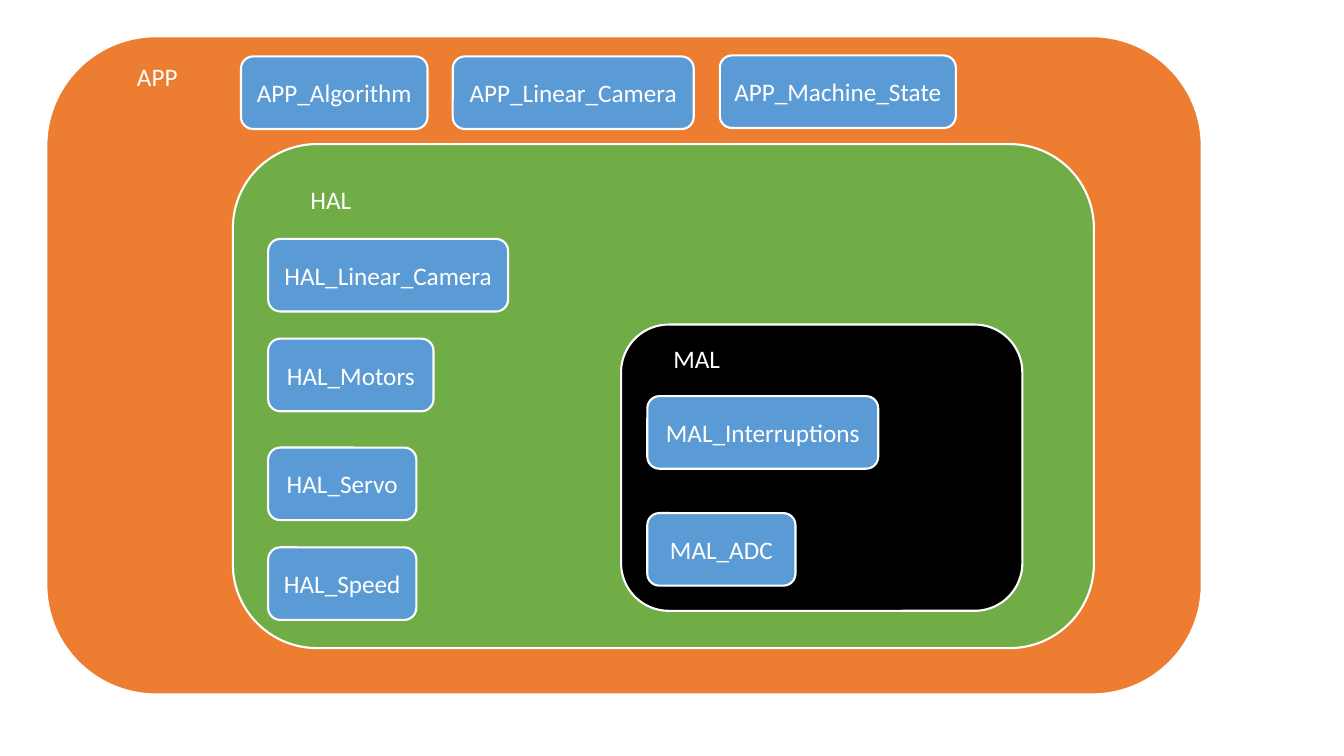
import pptx
import pptx.dml.color
import pptx.enum.shapes
import pptx.enum.text
import pptx.util
from pptx.util import Inches

WHITE = "FFFFFF"
MODULE_BLUE = "5B9BD5"
MODULE_HEIGHT = 0.72

LAYERS = [
    (0.46, 0.36, 11.46, 6.53, "ED7D31"),
    (2.31, 1.43, 8.54, 5, "70AD47"),
    (6.16, 3.22, 3.98, 2.84, "000000"),
]
LAYER_NAMES = [
    ("APP", 1.26, 0.56, 1.05),
    ("HAL", 2.98, 1.78, 1.3),
    ("MAL", 6.58, 3.36, 1.15),
]
MODULES = [
    ("APP_Algorithm", 2.39, 0.56, 1.85),
    ("APP_Linear_Camera", 4.49, 0.56, 2.39),
    ("APP_Machine_State", 7.14, 0.55, 2.34),
    ("HAL_Linear_Camera", 2.66, 2.37, 2.38),
    ("HAL_Motors", 2.66, 3.36, 1.64),
    ("HAL_Servo", 2.66, 4.44, 1.47),
    ("HAL_Speed", 2.66, 5.43, 1.47),
    ("MAL_Interruptions", 6.42, 3.93, 2.29),
    ("MAL_ADC", 6.42, 5.09, 1.47),
]


def rgb(value):
    """Turn a hex string into a colour."""
    return pptx.dml.color.RGBColor.from_string(value)


def add_text(tf, text):
    """Write one white run into the first paragraph and return the paragraph."""
    tf.word_wrap = True
    p = tf.paragraphs[0]
    r = p.add_run()
    r.text = text
    r.font.name = "Calibri"
    r.font.size = pptx.util.Pt(18)
    r.font.color.rgb = rgb(WHITE)
    return p


def add_box(s, left, top, width, height, fill):
    """Add a rounded box with a white outline."""
    sp = s.shapes.add_shape(
        pptx.enum.shapes.MSO_SHAPE.ROUNDED_RECTANGLE,
        Inches(left), Inches(top), Inches(width), Inches(height))
    sp.shadow.inherit = False
    sp.fill.solid()
    sp.fill.fore_color.rgb = rgb(fill)
    sp.line.color.rgb = rgb(WHITE)
    sp.line.width = pptx.util.Pt(1.5)
    return sp


def add_layer_name(s, text, left, top, width):
    """Add the name of a layer as a text box."""
    sp = s.shapes.add_textbox(Inches(left), Inches(top), Inches(width), Inches(0.4))
    add_text(sp.text_frame, text)
    sp.text_frame.auto_size = pptx.enum.text.MSO_AUTO_SIZE.SHAPE_TO_FIT_TEXT


def add_module(s, text, left, top, width):
    """Add a blue module box with a centred label."""
    sp = add_box(s, left, top, width, MODULE_HEIGHT, MODULE_BLUE)
    sp.text_frame.vertical_anchor = pptx.enum.text.MSO_ANCHOR.MIDDLE
    p = add_text(sp.text_frame, text)
    p.alignment = pptx.enum.text.PP_ALIGN.CENTER


def main():
    """Build the layer diagram and save it."""
    prs = pptx.Presentation()
    prs.slide_width, prs.slide_height = Inches(13.33), Inches(7.5)
    s = prs.slides.add_slide(prs.slide_layouts[6])
    for layer in LAYERS:
        add_box(s, *layer)
    for name in LAYER_NAMES:
        add_layer_name(s, *name)
    for module in MODULES:
        add_module(s, *module)
    prs.save("out.pptx")


if __name__ == "__main__":
    main()
